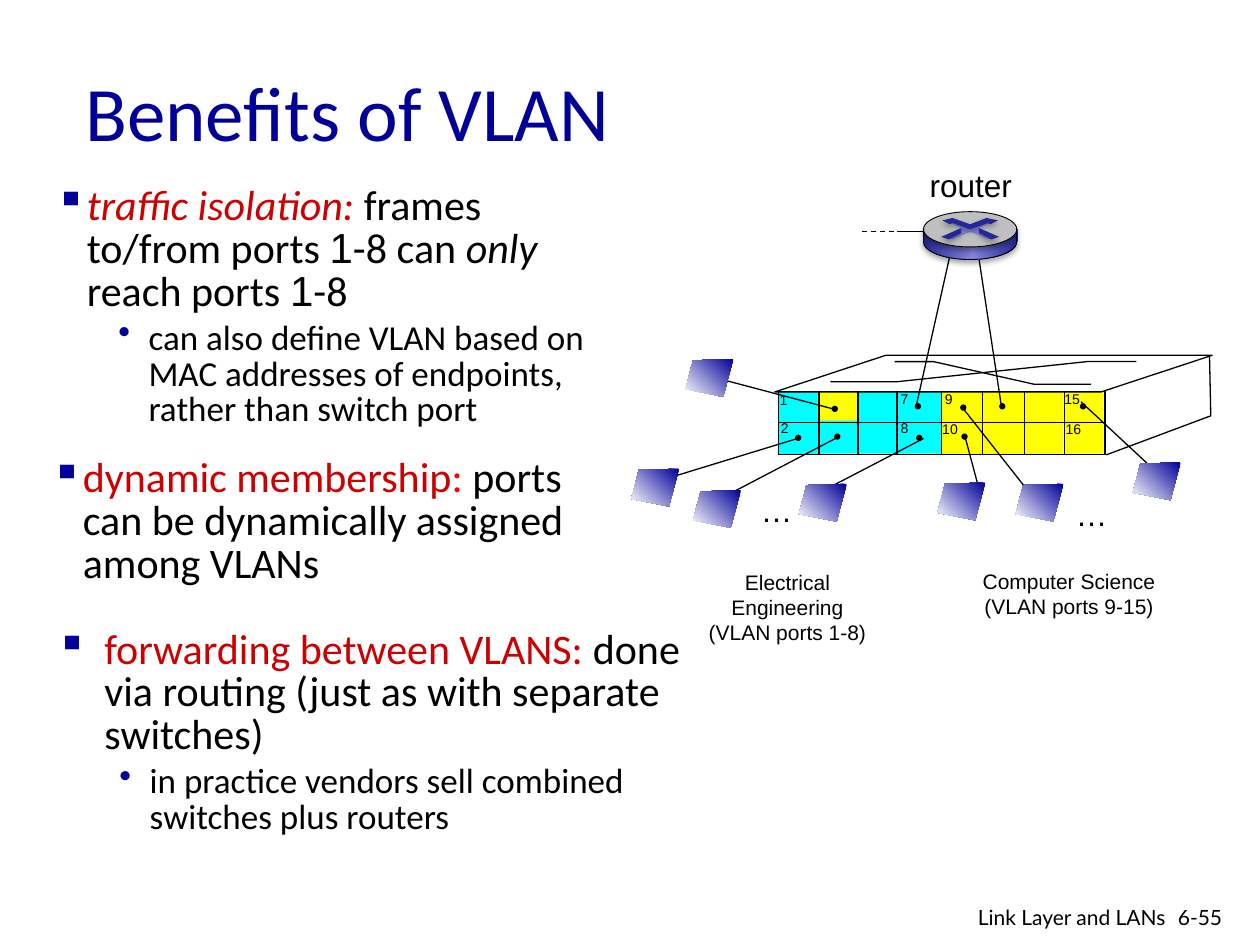
from typing import NamedTuple

import pptx
import pptx.dml.color
import pptx.enum.dml
import pptx.enum.shapes
import pptx.enum.text
import pptx.oxml
import pptx.oxml.ns
import pptx.util
from pptx.util import Inches, Pt

RGB = pptx.dml.color.RGBColor
SHAPE = pptx.enum.shapes.MSO_SHAPE
ALIGN = pptx.enum.text.PP_ALIGN
qn = pptx.oxml.ns.qn
NS = pptx.oxml.ns.nsdecls("a")

BLACK, WHITE = RGB(0, 0, 0), RGB(255, 255, 255)
NAVY, RED, BRIGHT_RED = RGB(0, 0, 0x99), RGB(0xCC, 0, 0), RGB(255, 0, 0)
CYAN, YELLOW, GREY = RGB(0, 255, 255), RGB(255, 255, 0), RGB(0xBF, 0xBF, 0xBF)
INDIGO, LILAC = RGB(0x26, 0x26, 0x99), RGB(0x85, 0x85, 0xE0)
ROUTER_SIDE = [(0, INDIGO), (53, LILAC), (100, INDIGO)]

Point = tuple[float, float]


class Run(NamedTuple):
    text: str
    size: float
    color: RGB = BLACK
    font: str = "Calibri"
    italic: bool = False


class Para(NamedTuple):
    runs: list[Run]
    align: ALIGN = ALIGN.LEFT
    bullet: str = ""
    indent: float = 0
    hanging: float = 0
    level: int = 0


class Box(NamedTuple):
    x: float
    y: float
    w: float
    h: float


class Link(NamedTuple):
    start: Point
    end: Point


def set_effects(sp, shadow: bool = False) -> None:
    """Give the shape a soft shadow below it, or none at all."""
    outer = ('<a:outerShdw blurRad="40000" dist="23000" dir="5400000" rotWithShape="0">'
             '<a:srgbClr val="000000"><a:alpha val="35000"/></a:srgbClr></a:outerShdw>')
    sp._element.spPr.append(pptx.oxml.parse_xml(
        f"<a:effectLst {NS}>{outer if shadow else ''}</a:effectLst>"))


def set_gradient(sp, stops: list[tuple[int, RGB]], angle: int) -> None:
    """Fill with stops in percent, the angle running clockwise."""
    sp.fill.gradient()
    grad = sp._element.spPr.find(qn("a:gradFill"))
    gs_list = grad.find(qn("a:gsLst"))
    for gs in list(gs_list):
        gs_list.remove(gs)
    for pos, color in stops:
        gs_list.append(pptx.oxml.parse_xml(
            f'<a:gs {NS} pos="{pos * 1000}"><a:srgbClr val="{color}"/></a:gs>'))
    grad.find(qn("a:lin")).set("ang", str(angle * 60000))


def paint(sp, fill=None, line: float = 0, shadow: bool = False, angle: int = 0):
    """Set fill (colour, gradient stops or none), black line width and shadow."""
    if fill is None:
        sp.fill.background()
    elif isinstance(fill, list):
        set_gradient(sp, fill, angle)
    else:
        sp.fill.solid()
        sp.fill.fore_color.rgb = fill
    if line:
        sp.line.color.rgb = BLACK
        sp.line.width = Pt(line)
    else:
        sp.line.fill.background()
    set_effects(sp, shadow)
    return sp


def add_preset(s, kind, box: Box, **style):
    return paint(s.shapes.add_shape(kind, *map(Inches, box)), **style)


def add_outline(s, points: list[Point], close: bool = True, **style):
    start, *rest = [(Inches(x), Inches(y)) for x, y in points]
    builder = s.shapes.build_freeform(*start, scale=1.0)
    builder.add_line_segments(rest, close=close)
    return paint(builder.convert_to_shape(), **style)


def add_line(s, start: Point, end: Point, width: float = 0.75, shadow: bool = False):
    line = s.shapes.add_connector(pptx.enum.shapes.MSO_CONNECTOR.STRAIGHT,
                                  *map(Inches, (*start, *end)))
    line.line.color.rgb = BLACK
    line.line.width = Pt(width)
    set_effects(line, shadow)
    return line


def add_text(s, box: Box, paras: list[Para], wrap: bool = False):
    tb = s.shapes.add_textbox(*map(Inches, box))
    tf = tb.text_frame
    tf.word_wrap = wrap
    for i, para in enumerate(paras):
        p = tf.paragraphs[0] if i == 0 else tf.add_paragraph()
        p.alignment = para.align
        p.level = para.level
        if para.bullet:
            p.line_spacing = 0.85
            if i:
                p.space_before = Pt(para.runs[0].size * 0.2)
            pPr = p._p.get_or_add_pPr()
            pPr.set("marL", str(Inches(para.indent)))
            pPr.set("indent", str(-Inches(para.hanging)))
            for xml in (f'<a:buClr {NS}><a:srgbClr val="{NAVY}"/></a:buClr>',
                        f'<a:buChar {NS} char="{para.bullet}"/>'):
                pPr.append(pptx.oxml.parse_xml(xml))
        for run in para.runs:
            r = p.add_run()
            r.text = run.text
            r.font.size, r.font.name = Pt(run.size), run.font
            r.font.color.rgb, r.font.italic = run.color, run.italic
    return tf


def add_label(s, box: Box, lines: list[str], size: float, font: str = "Arial",
              align: ALIGN = ALIGN.LEFT, wrap: bool = False) -> None:
    add_text(s, box, [Para([Run(t, size, font=font)], align) for t in lines], wrap)


def add_dot(s, x: float, y: float) -> None:
    add_preset(s, SHAPE.OVAL, Box(x, y, 0.05, 0.05), fill=BLACK)


def add_bullets(s) -> None:
    def main(runs: list[Run], indent: float = 0.25) -> Para:
        return Para(runs, bullet="▪", indent=indent, hanging=indent)

    def sub(text: str) -> Para:
        return Para([Run(text, 20)], bullet="•", indent=0.74, hanging=0.24, level=1)

    one = Run("1", 24, font="Arial")
    add_text(s, Box(0.34, 1.43, 4.65, 1.93), [
        main([Run("traffic isolation: ", 24, RED, italic=True),
              Run("frames to/from ports ", 24), one, Run("-8 can ", 24),
              Run("only", 24, italic=True), Run(" reach ports ", 24), one, Run("-8", 24)]),
        sub("can also define VLAN based on MAC addresses of endpoints, "
            "rather than switch port")], wrap=True)
    add_text(s, Box(0.31, 3.59, 4.44, 1.76), [
        main([Run("dynamic membership", 24, RED), Run(":", 24, BRIGHT_RED),
              Run(" ports can be dynamically assigned among VLANs", 24)])], wrap=True)
    add_text(s, Box(0.35, 4.95, 5.47, 1.76), [
        main([Run("forwarding between VLANS: ", 24, RED),
              Run("done via routing (just as with separate switches)", 24)], 0.38),
        sub("in practice vendors sell combined switches plus routers")], wrap=True)


def add_switch(s) -> None:
    for color, *box in [(CYAN, 6.18, 3.1, 0.32, 0.24), (CYAN, 6.18, 3.34, 0.32, 0.27),
                        (CYAN, 6.49, 3.11, 0.98, 0.49), (YELLOW, 7.47, 3.11, 0.97, 0.5),
                        (YELLOW, 8.44, 3.1, 0.32, 0.24), (YELLOW, 8.45, 3.34, 0.31, 0.26),
                        (YELLOW, 6.49, 3.11, 0.31, 0.23)]:
        add_preset(s, SHAPE.RECTANGLE, Box(*box), fill=color)
    front = add_preset(s, SHAPE.RECTANGLE, Box(6.18, 3.1, 2.59, 0.51), line=0.75)
    row = add_line(s, (6.18, 3.34), (8.77, 3.34))
    row.begin_connect(front, 1)
    row.end_connect(front, 3)
    middle = add_line(s, (7.47, 3.1), (7.47, 3.61))
    middle.begin_connect(front, 0)
    middle.end_connect(front, 2)
    for x in (6.18, 6.5, 6.81, 7.12, 7.8, 8.13, 8.45):
        add_line(s, (x, 3.11), (x, 3.61))
    top = add_preset(s, SHAPE.PARALLELOGRAM, Box(6.15, 2.82, 3.47, 0.29),
                     fill=WHITE, line=0.75)
    top.adjustments[0] = 3.032
    for points in ([(8.78, 3.61), (9.61, 3.3), (9.6, 2.82)],
                   [(6.59, 3.03), (7.12, 3.03), (8.63, 2.87), (9.02, 2.87)],
                   [(7.1, 2.87), (7.41, 2.87), (8.21, 3.05), (8.66, 3.05)]):
        add_outline(s, points, close=False, line=0.75)
    for text, x, y in [("1", 6.09, 3.06), ("2", 6.1, 3.28), ("7", 7.05, 3.05),
                       ("8", 7.05, 3.28), ("9", 7.4, 3.05), ("10", 7.38, 3.29),
                       ("15", 8.35, 3.05), ("16", 8.36, 3.29)]:
        add_label(s, Box(x, y, 0.19 + 0.07 * len(text), 0.23), [text], 8)


def add_hosts(s) -> None:
    for link in (Link((6.33, 3.48), (5.35, 3.78)), Link((6.65, 3.47), (5.77, 3.93)),
                 Link((7.33, 3.48), (6.56, 3.88)), Link((7.66, 3.47), (7.77, 3.88)),
                 Link((7.65, 3.25), (8.17, 3.91)), Link((8.58, 3.19), (9.15, 3.72)),
                 Link((6.63, 3.25), (5.76, 3.02)), Link((7.27, 3.23), (7.55, 1.98)),
                 Link((7.95, 3.24), (7.76, 1.99))):
        add_line(s, *link)
    for dot in [(6.31, 3.45), (6.62, 3.44), (7.27, 3.45), (7.63, 3.44), (7.62, 3.21),
                (8.57, 3.2), (7.26, 3.2), (7.93, 3.2), (6.6, 3.22)]:
        add_dot(s, *dot)
    screen = [(0.38, 0), (0.06, 0.01), (0, 0.24), (0.3, 0.3)]
    for x, y in [(5.01, 3.72), (5.5, 3.89), (6.34, 3.84), (7.44, 3.83),
                 (8.06, 3.84), (8.99, 3.67), (5.44, 2.85)]:
        add_outline(s, [(x + dx, y + dy) for dx, dy in screen],
                    fill=[(0, NAVY), (100, WHITE)], angle=135)
    for x, y in [(5.94, 3.85), (8.44, 3.88)]:
        add_label(s, Box(x, y, 0.45, 0.4), ["…"], 18)
    add_label(s, Box(5.4, 4.47, 1.7, 0.5), ["Electrical Engineering", "(VLAN ports 1-8)"],
              12, align=ALIGN.CENTER, wrap=True)
    add_label(s, Box(7.7, 4.46, 1.57, 0.5), ["Computer Science", "(VLAN ports 9-15)"],
              12, align=ALIGN.CENTER)


def add_router(s) -> None:
    add_label(s, Box(7.28, 1.27, 0.86, 0.4), ["router"], 18)
    add_line(s, (7.12, 1.84), (7.4, 1.84))
    uplink = add_line(s, (6.84, 1.84), (7.11, 1.84))
    uplink.line.dash_style = pptx.enum.dml.MSO_LINE.DASH
    add_preset(s, SHAPE.OVAL, Box(7.33, 1.78, 0.74, 0.28),
               fill=ROUTER_SIDE, line=0.5, shadow=True)
    add_preset(s, SHAPE.RECTANGLE, Box(7.33, 1.82, 0.75, 0.1), fill=ROUTER_SIDE, angle=180)
    add_preset(s, SHAPE.OVAL, Box(7.33, 1.68, 0.74, 0.28), fill=GREY, line=0.5, shadow=True)
    add_outline(s, [(7.7, 1.84), (7.56, 1.9), (7.52, 1.89), (7.63, 1.85), (7.63, 1.81),
                    (7.54, 1.77), (7.57, 1.77), (7.7, 1.82), (7.83, 1.76), (7.86, 1.77),
                    (7.77, 1.81), (7.79, 1.86), (7.88, 1.89), (7.85, 1.9)], fill=LILAC)
    for arrow in ([(7.48, 1.75), (7.56, 1.73), (7.7, 1.78), (7.83, 1.73), (7.92, 1.75),
                   (7.86, 1.78), (7.84, 1.77), (7.7, 1.82), (7.56, 1.77), (7.54, 1.78)],
                  [(7.77, 1.81), (7.93, 1.88), (7.87, 1.9), (7.77, 1.85)],
                  [(7.63, 1.81), (7.63, 1.85), (7.53, 1.9), (7.47, 1.88)]):
        add_outline(s, arrow, fill=INDIGO, shadow=True)
    for x in (7.33, 8.07):
        add_line(s, (x, 1.93), (x, 1.82), 0.5, shadow=True)


def main() -> None:
    prs = pptx.Presentation()
    prs.slide_width, prs.slide_height = Inches(10), Inches(7.5)
    s = prs.slides.add_slide(prs.slide_layouts[6])
    title = add_text(s, Box(0.58, 0.25, 8.5, 1.25),
                     [Para([Run("Benefits of VLAN", 44, NAVY)])], wrap=True)
    title.vertical_anchor = pptx.enum.text.MSO_ANCHOR.MIDDLE
    add_switch(s)
    add_hosts(s)
    add_bullets(s)
    add_router(s)
    add_label(s, Box(9.25, 7.13, 0.6, 0.3), ["6-55"], 12, "Lato", wrap=True)
    add_label(s, Box(6.97, 7.13, 2.38, 0.26), ["Link Layer and LANs"], 12, "Lato",
              ALIGN.RIGHT, wrap=True)
    prs.save("out.pptx")


if __name__ == "__main__":
    main()
